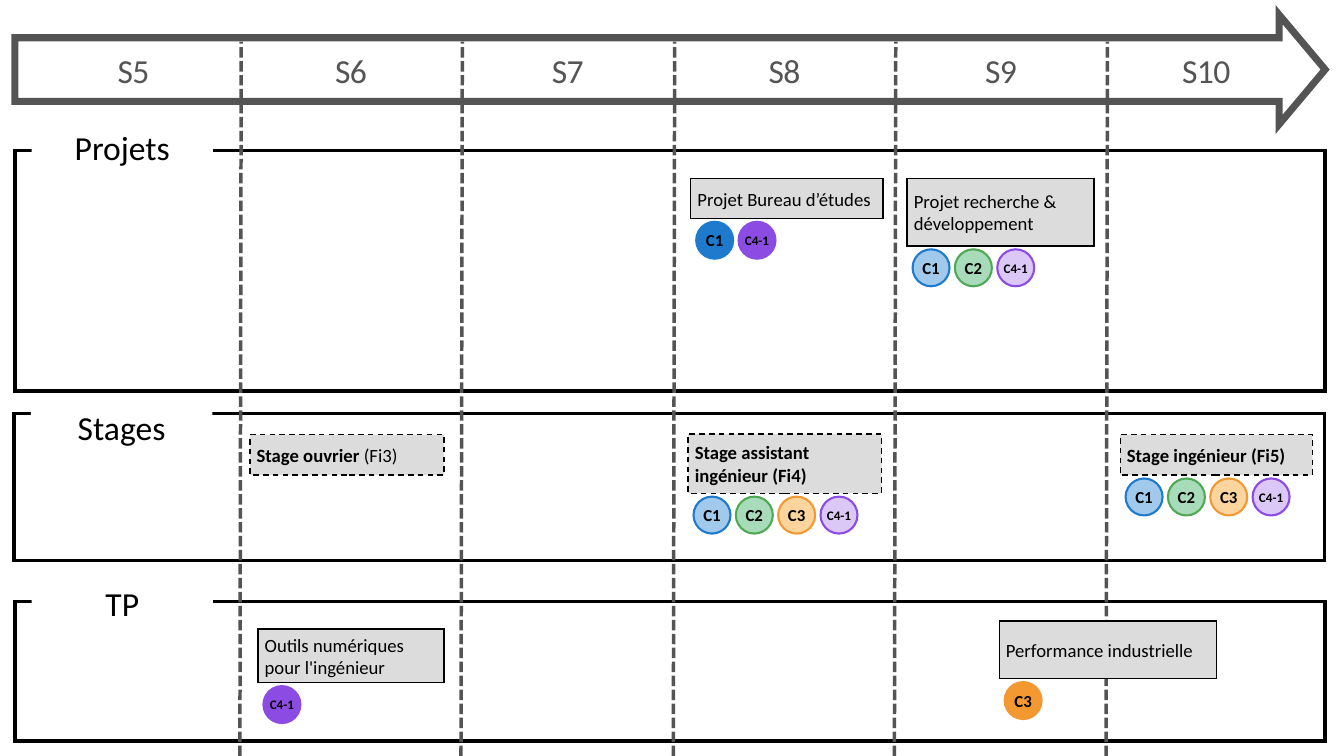
from lxml import etree
from pptx import Presentation
from pptx.dml.color import RGBColor
from pptx.enum.dml import MSO_LINE
from pptx.enum.shapes import MSO_CONNECTOR, MSO_SHAPE
from pptx.enum.text import MSO_ANCHOR, PP_ALIGN
from pptx.oxml.ns import qn
from pptx.util import Inches, Pt

RECT, OVAL, ARROW = MSO_SHAPE.RECTANGLE, MSO_SHAPE.OVAL, MSO_SHAPE.RIGHT_ARROW
TOP, MIDDLE = MSO_ANCHOR.TOP, MSO_ANCHOR.MIDDLE
LEFT, CENTER = PP_ALIGN.LEFT, PP_ALIGN.CENTER
DASH, DOTS = MSO_LINE.DASH, MSO_LINE.SQUARE_DOT

BLACK = RGBColor(0x00, 0x00, 0x00)
WHITE = RGBColor(0xFF, 0xFF, 0xFF)
SLATE = RGBColor(0x54, 0x54, 0x54)
GREY = RGBColor(0xDD, 0xDC, 0xDC)
BLUE = RGBColor(0x1E, 0x7A, 0xCC)
SKY = RGBColor(0xA0, 0xC9, 0xEB)
GREEN = RGBColor(0x4F, 0xA9, 0x54)
MINT = RGBColor(0xA8, 0xDB, 0xBA)
ORANGE = RGBColor(0xF4, 0x98, 0x31)
PEACH = RGBColor(0xFB, 0xD4, 0x9E)
PURPLE = RGBColor(0x8C, 0x4B, 0xE2)

WIDTH, HEIGHT = 20, 11.25
EDGES = [0.39, 3.58, 6.87, 10.03, 13.32, 16.47, 19.43]
TERMS = ["S5", "S6", "S7", "S8", "S9", "S10"]

# Skill code: (strong colour, light fill, opacity of light fill, text size)
SKILLS = {
    "C1": (BLUE, SKY, 100, 18),
    "C2": (GREEN, MINT, 100, 18),
    "C3": (ORANGE, PEACH, 100, 18),
    "C4-1": (PURPLE, PURPLE, 30, 14),
}
DOT, STEP = 0.55, 0.63

# Card: term, shift from its edge, drop from the frame, width, height,
# runs (text, bold), dash, skills, light skills
SECTIONS = [
    ("TP", (0.22, 8.95, 19.5, 2.08), -0.33, TOP, [
        (1, 0.26, 0.41, 2.77, 0.8,
         [("Outils numériques pour l'ingénieur", False)], None, ["C4-1"], False),
        (4, 1.55, 0.29, 3.23, 0.86,
         [("Performance industrielle", False)], None, ["C3"], False),
    ]),
    ("Projets", (0.22, 2.24, 19.5, 3.58), -0.36, MIDDLE, [
        (3, 0.25, 0.42, 2.86, 0.59,
         [("Projet Bureau d’études", False)], None, ["C1", "C4-1"], False),
        (4, 0.18, 0.42, 2.78, 1,
         [("Projet recherche & développement", False)], None,
         ["C1", "C2", "C4-1"], True),
    ]),
    ("Stages", (0.21, 6.15, 19.5, 2.19), -0.14, TOP, [
        (1, 0.14, 0.32, 2.89, 0.6,
         [("Stage ouvrier ", True), ("(Fi3)", False)], DASH, [], True),
        (3, 0.21, 0.31, 2.88, 0.88,
         [("Stage assistant ingénieur (Fi4)", True)], DASH, list(SKILLS), True),
        (5, 0.2, 0.32, 2.86, 0.6,
         [("Stage ingénieur (Fi5)", True)], DASH, list(SKILLS), True),
    ]),
]


def draw(slide, kind, box, fill=None, line=None, width=1.5, dash=None):
    shape = slide.shapes.add_shape(kind, *map(Inches, box))
    shape.shadow.inherit = False
    for part, color in ((shape.fill, fill), (shape.line.fill, line)):
        if color is None:
            part.background()
        else:
            part.solid()
            part.fore_color.rgb = color
    if line is not None:
        shape.line.width = Pt(width)
        if dash:
            shape.line.dash_style = dash
        ln = shape.line._get_or_add_ln()
        etree.SubElement(ln, qn("a:miter"), lim="800000")
    return shape


def write(shape, runs, size, color=BLACK, align=CENTER, anchor=MIDDLE, inset=None):
    """Fill a shape with one paragraph of (text, bold) runs."""
    frame = shape.text_frame
    frame.word_wrap = True
    frame.vertical_anchor = anchor
    if inset is not None:
        for side in ("left", "top", "right", "bottom"):
            setattr(frame, f"margin_{side}", Inches(inset))
    para = frame.paragraphs[0]
    para.alignment = align
    for text, bold in runs:
        run = para.add_run()
        run.text = text
        look = {"name": "Calibri", "size": Pt(size), "bold": bold}
        for key, value in look.items():
            setattr(run.font, key, value)
        run.font.color.rgb = color
    return para


def timeline(slide, box):
    left, top, width, height = box
    arrow = draw(slide, ARROW, box, line=SLATE, width=7.5)
    arrow.adjustments[0] = 0.58
    arrow.adjustments[1] = 0.42
    for term, start, end in zip(TERMS, EDGES, EDGES[1:]):
        area = (start, top + 0.48, end - start, 0.63)
        label = slide.shapes.add_textbox(*map(Inches, area))
        para = write(label, [(term, False)], 36, SLATE, anchor=TOP, inset=0)
        para.line_spacing = Pt(46.8)
        para.runs[0].font._element.set("spc", "-70")


def dividers(slide, top):
    for x in EDGES[1:-1]:
        ends = (x - 0.01, HEIGHT, x + 0.01, top)
        rule = slide.shapes.add_connector(MSO_CONNECTOR.STRAIGHT, *map(Inches, ends))
        rule.line.color.rgb = SLATE
        rule.line.width = Pt(3.75)
        rule.line.dash_style = DOTS
        etree.SubElement(rule._element.spPr, qn("a:effectLst"))


def badge(slide, x, y, code, light):
    strong, pale, alpha, size = SKILLS[code]
    dot = draw(slide, OVAL, (x, y, DOT, DOT), pale if light else strong, strong, 2.25)
    if light and alpha < 100:
        tint = dot._element.spPr.find(qn("a:solidFill"))[0]
        etree.SubElement(tint, qn("a:alpha"), val=str(alpha * 1000))
    write(dot, [(code, True)], size, inset=0)


def card(slide, box, runs, dash, skills, light):
    left, top, width, height = box
    write(draw(slide, RECT, box, GREY, BLACK, dash=dash), runs, 20, align=LEFT)
    for i, code in enumerate(skills):
        badge(slide, left + 0.08 + i * STEP, top + height + 0.05, code, light)


def section(slide, box, name, rise, anchor, cards):
    left, top, width, height = box
    label = draw(slide, RECT, (left + 0.25, top + rise, 2.7, 0.61), WHITE)
    write(label, [(name, False)], 36, anchor=anchor)
    for term, shift, drop, wide, high, *rest in cards:
        card(slide, (EDGES[term] + shift, top + drop, wide, high), *rest)


def main():
    deck = Presentation()
    deck.slide_width, deck.slide_height = Inches(WIDTH), Inches(HEIGHT)
    slide = deck.slides.add_slide(deck.slide_layouts[6])
    for name, box, *rest in SECTIONS:
        draw(slide, RECT, box, line=BLACK, width=3.75)
    dividers(slide, 0.62)
    timeline(slide, (0.22, 0.22, 19.5, 1.63))
    for name, box, *rest in SECTIONS:
        section(slide, box, name, *rest)
    deck.save("out.pptx")


if __name__ == "__main__":
    main()
